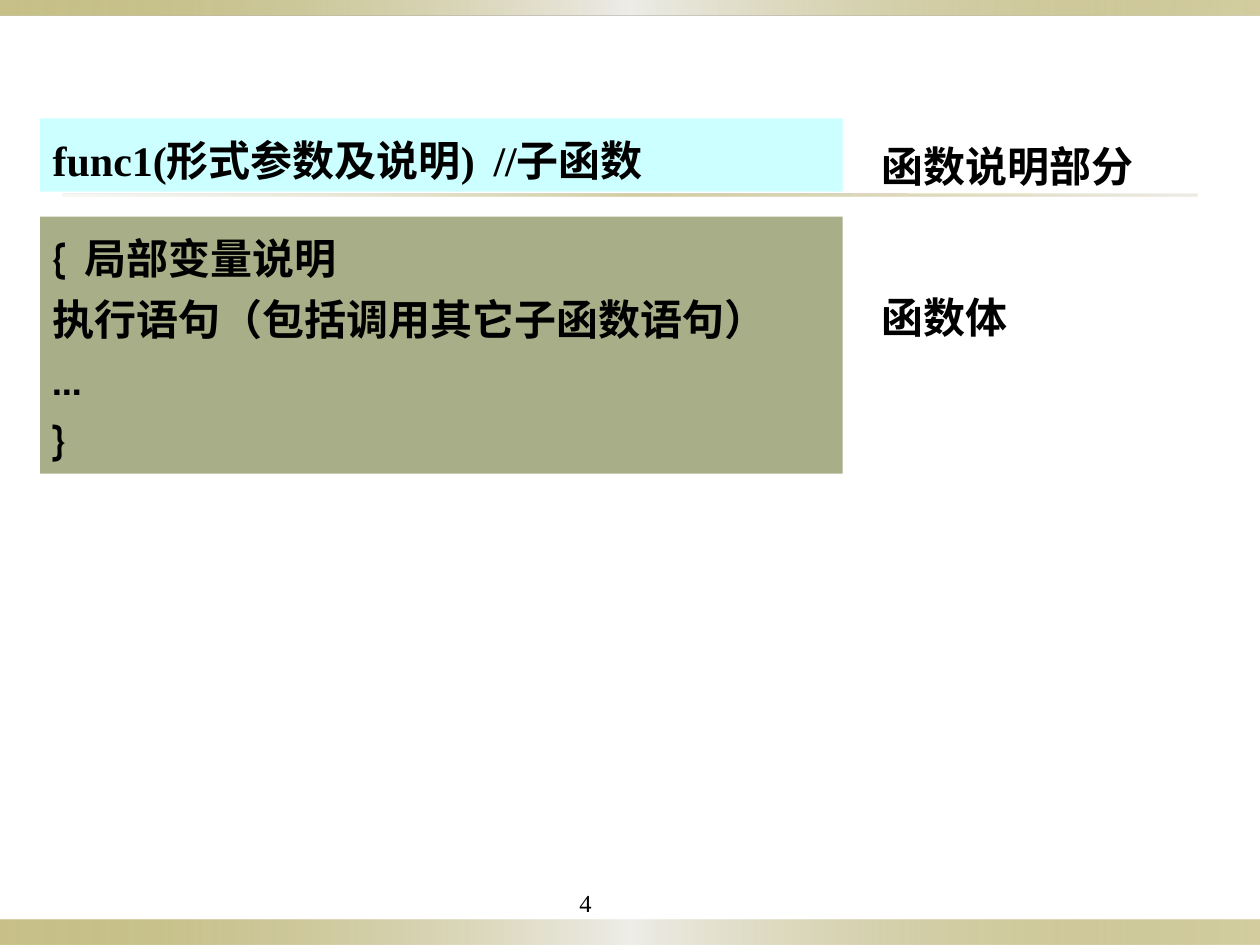
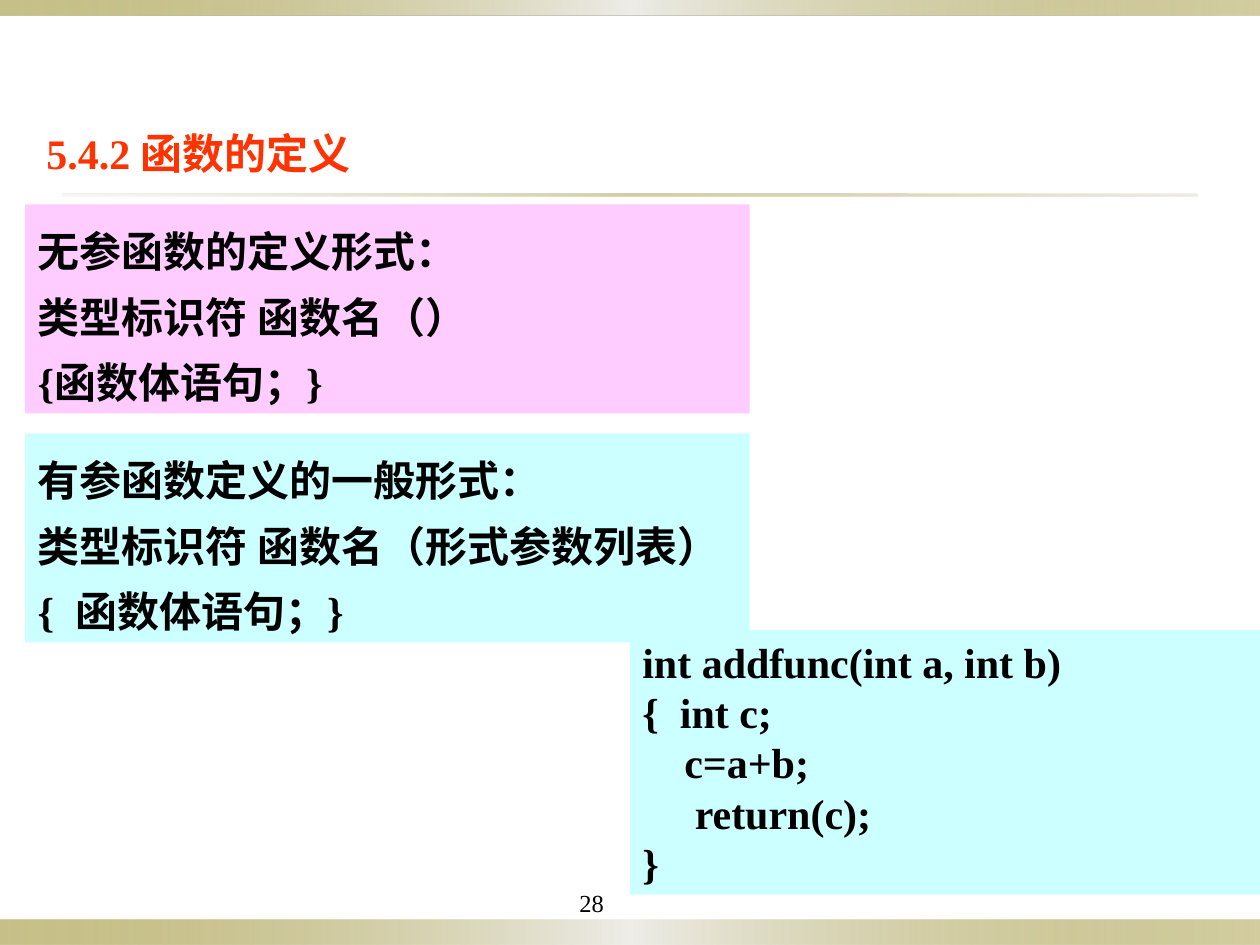
"""Build two lecture slides on defining functions in C."""
from dataclasses import dataclass

from lxml import etree
from pptx import Presentation
from pptx.dml.color import RGBColor
from pptx.enum.shapes import MSO_SHAPE
from pptx.enum.text import MSO_ANCHOR, PP_ALIGN
from pptx.oxml.ns import qn
from pptx.util import Pt

RECT = MSO_SHAPE.RECTANGLE
TOP = MSO_ANCHOR.TOP
LEFT = PP_ALIGN.LEFT


@dataclass(frozen=True)
class Theme:
    ink: str = "000000"
    head: str = "FF3300"
    aqua: str = "CCFFFF"
    olive: str = "A8AE87"
    pink: str = "FFCCFF"
    band: tuple = ((0, "918415", 50), (50, "EEEDE8", 100), (100, "918415", 40))
    rule: tuple = ((0, "DCD9CC", 20), (50, "918415", 40), (100, "DCD9CC", 50))
    serif: str = "Times New Roman"
    sans: str = "Cabin"
    main: int = 24
    small: int = 14


class Deck:
    def __init__(self, theme):
        self.theme = theme
        self.prs = Presentation()
        self.prs.slide_width, self.prs.slide_height = Pt(720), Pt(540)
        self.slide = None

    def page(self, num):
        self.slide = self.prs.slides.add_slide(self.prs.slide_layouts[6])
        self.strip((0, 525.6, 720, 14.4), self.theme.band)
        self.strip((0, 0, 720, 8.64), self.theme.band)
        self.strip((36, 110.88, 648, 1.44), self.theme.rule)
        self.text((324, 504, 72, 22.3), [str(num)], size=self.theme.small, bold=False)

    def rect(self, at):
        shape = self.slide.shapes.add_shape(RECT, *map(Pt, at))
        shape.shadow.inherit = False
        shape.line.fill.background()
        return shape

    def strip(self, at, stops):
        shape = self.rect(at)
        shape.fill.gradient()
        shape.fill.gradient_angle = 0
        grad = shape.element.spPr.find(qn("a:gradFill"))
        group = grad.find(qn("a:gsLst"))
        for stop in list(group):
            group.remove(stop)
        for place, tint, alpha in stops:
            stop = etree.SubElement(group, qn("a:gs"), pos=str(place * 1000))
            color = etree.SubElement(stop, qn("a:srgbClr"), val=tint)
            etree.SubElement(color, qn("a:alpha"), val=str(alpha * 1000))

    def text(self, at, lines, **style):
        box = self.slide.shapes.add_textbox(*map(Pt, at))
        self.put(box.text_frame, lines, **style)

    def panel(self, at, tint, lines, **style):
        shape = self.rect(at)
        shape.fill.solid()
        shape.fill.fore_color.rgb = RGBColor.from_string(tint)
        self.put(shape.text_frame, lines, **style)

    def put(self, frame, lines, size=None, tint=None, face=None,
            bold=True, pitch=1.0, gap=0):
        frame.word_wrap = True
        frame.vertical_anchor = TOP
        for i, line in enumerate(lines):
            para = frame.add_paragraph() if i else frame.paragraphs[0]
            para.alignment = LEFT
            para.line_spacing = pitch
            para.space_before = Pt(gap if i else 0)
            run = para.add_run()
            run.text = line
            run.font.name = face or self.theme.serif
            run.font.size = Pt(size or self.theme.main)
            run.font.bold = bold
            run.font.color.rgb = RGBColor.from_string(tint or self.theme.ink)


def parts(deck):
    theme = deck.theme
    deck.page(4)
    deck.panel((23, 67.7, 458.6, 41.8), theme.aqua,
               ["func1(形式参数及说明)\t//子函数"], pitch=1.2)
    deck.panel((23, 123.8, 458.6, 146.9), theme.olive,
               ["{  局部变量说明", "执行语句（包括调用其它子函数语句）", "…", "}"],
               face=theme.sans, pitch=1.2)
    deck.text((496.8, 62.6, 197.3, 138.2), ["函数说明部分", "函数体"],
              pitch=1.5, gap=43)


def forms(deck):
    theme = deck.theme
    deck.page(28)
    deck.text((19.4, 60.5, 204.5, 44.6), ["5.4.2 函数的定义"],
              tint=theme.head, pitch=1.3)
    deck.panel((360, 360, 360, 151.2), theme.aqua,
               ["int addfunc(int a, int b)", "{  int c;", "    c=a+b;",
                "     return(c);", "}"])
    kinds = (
        (theme.pink, ["无参函数的定义形式：", "类型标识符 函数名（）",
                      "{函数体语句；}"]),
        (theme.aqua, ["有参函数定义的一般形式：", "类型标识符 函数名（形式参数列表）",
                      "{  函数体语句；}"]),
    )
    for i, (tint, lines) in enumerate(kinds):
        deck.panel((14.4, 116.8 + 130.8 * i, 414, 119.5), tint, lines, pitch=1.3)


def main():
    deck = Deck(Theme())
    parts(deck)
    forms(deck)
    deck.prs.save("out.pptx")


if __name__ == "__main__":
    main()
